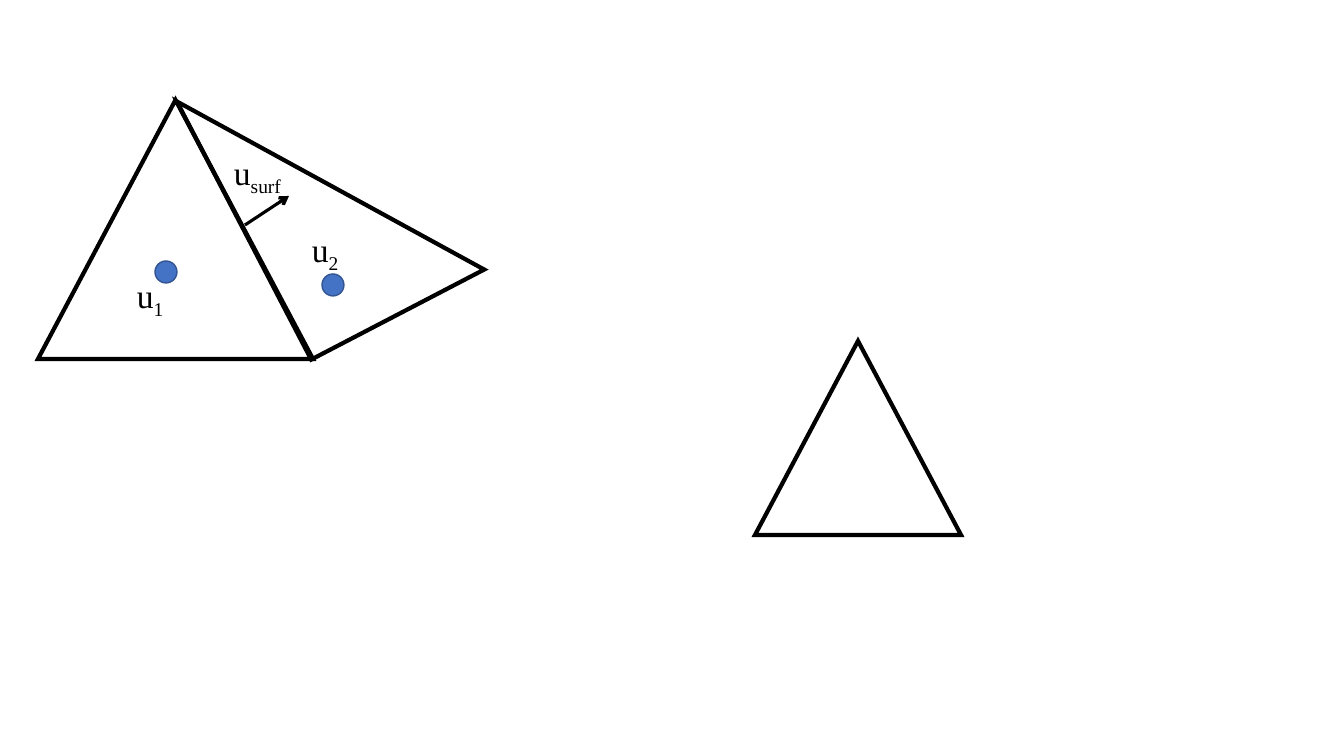
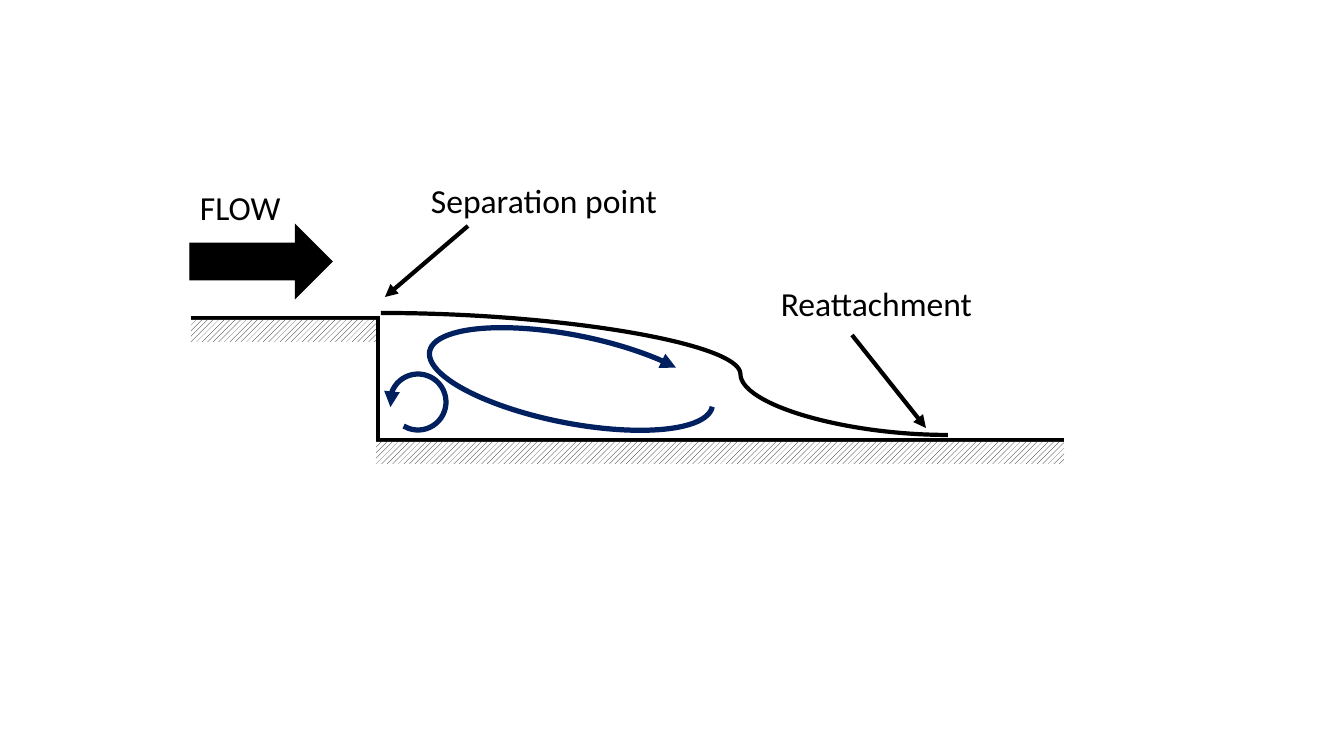
"""Build two slides: neighbouring mesh cells and flow over a backward-facing step."""
import pptx
import pptx.util
import pptx.dml.color
import pptx.enum.dml
import pptx.enum.shapes
import pptx.enum.text
import pptx.oxml
import pptx.oxml.ns

BLACK = pptx.dml.color.RGBColor(0x00, 0x00, 0x00)
WHITE = pptx.dml.color.RGBColor(0xFF, 0xFF, 0xFF)
BLUE = pptx.dml.color.RGBColor(0x44, 0x72, 0xC4)
BLUE_EDGE = pptx.dml.color.RGBColor(0x32, 0x54, 0x91)
NAVY = pptx.dml.color.RGBColor(0x00, 0x20, 0x60)

SHAPE = pptx.enum.shapes.MSO_SHAPE
CONNECTOR = pptx.enum.shapes.MSO_CONNECTOR
SCALE = 914400 / 100.8
SLIDE_SIZE = (1344, 756)
TEXT_SIZE = 24

LONE_CELL = (755, 341, 206, 194)
LEFT_CELL = (38, 100, 275, 259)
RIGHT_CELL = (185, 88, 291, 195)
CENTROIDS = [(322, 274, 22, 22), (155, 261, 22, 22)]
VELOCITIES = [
    ("u", "1", (127, 270, 48, 50)),
    ("u", "2", (302, 224, 48, 50)),
    ("u", "surf", (224, 147, 73, 50)),
]
SURFACE_NORMAL = ((245, 225), (289, 196))

WALLS = [((191, 318), (380, 318)), ((378, 317), (378, 441)), ((376, 440), (1064, 440))]
HATCHES = [(191, 320, 185, 22), (376, 442, 688, 22)]
VORTICES = [
    ((390, 374, 56, 56), 259.5, (162, 132.81), "head"),
    ((527, 235, 88, 288), 101.1, (162, 151.63), "tail"),
]
SHEAR_LAYER = ((381, 313), (948, 435))
SHEAR_BEND = 63400
FLOW_ARROW = (190, 225, 142, 73)
LABELS = [
    ("FLOW", (190, 182, 102, 50)),
    ("Separation point", (421, 175, 249, 50)),
    ("Reattachment", (771, 278, 214, 50)),
]
POINTERS = [((468, 226), (385, 297)), ((852, 335), (926, 428))]


def emu(*pixels):
    return [pptx.util.Emu(round(pixel * SCALE)) for pixel in pixels]


def add_xml(parent, tag, **attributes):
    child = pptx.oxml.parse_xml(f"<a:{tag} {pptx.oxml.ns.nsdecls('a')}/>")
    for name, value in attributes.items():
        child.set(name, value)
    parent.append(child)


def format_line(item, color, width, head=None, tail=None):
    item.line.color.rgb = color
    item.line.width = pptx.util.Pt(width)
    outline = item.element.spPr.find(pptx.oxml.ns.qn("a:ln"))
    add_xml(outline, "miter", lim="800000")
    for end, kind in (("headEnd", head), ("tailEnd", tail)):
        if kind:
            add_xml(outline, end, type=kind)


def add_shape(shapes, kind, place, fill=None, line=None, width=1, turn=0, adjust=(), **ends):
    shape = shapes.add_shape(kind, *emu(*place))
    shape.shadow.inherit = False
    shape.rotation = turn
    for index, value in enumerate(adjust):
        shape.adjustments[index] = value
    if fill is None:
        shape.fill.background()
    else:
        shape.fill.solid()
        shape.fill.fore_color.rgb = fill
    if line is None:
        shape.line.fill.background()
    else:
        format_line(shape, line, width, **ends)
    return shape


def add_line(shapes, start, end, width=3, kind=CONNECTOR.STRAIGHT, **ends):
    line = shapes.add_connector(kind, *emu(*start, *end))
    format_line(line, BLACK, width, **ends)
    add_xml(line.element.spPr, "effectLst")
    return line


def add_text(shapes, text, place, font="Calibri", subscript=""):
    box = shapes.add_textbox(*emu(*place))
    box.text_frame.word_wrap = False
    box.text_frame.auto_size = pptx.enum.text.MSO_AUTO_SIZE.SHAPE_TO_FIT_TEXT
    para = box.text_frame.paragraphs[0]
    for words, baseline in ((text, "0"), (subscript, "-25000")):
        if words:
            span = para.add_run()
            span.text = words
            span.font.name = font
            span.font.size = pptx.util.Pt(TEXT_SIZE)
            span.font.color.rgb = BLACK
            span._r.get_or_add_rPr().set("baseline", baseline)


def build_cells(page):
    cell = {"line": BLACK, "width": 3}
    add_shape(page.shapes, SHAPE.ISOSCELES_TRIANGLE, LONE_CELL, **cell)
    shapes = page.shapes.add_group_shape().shapes
    add_shape(shapes, SHAPE.ISOSCELES_TRIANGLE, LEFT_CELL, **cell)
    add_shape(shapes, SHAPE.ISOSCELES_TRIANGLE, RIGHT_CELL, turn=62.5, adjust=(1,), **cell)
    for place in CENTROIDS:
        add_shape(shapes, SHAPE.OVAL, place, fill=BLUE, line=BLUE_EDGE)
    for text, subscript, place in VELOCITIES:
        add_text(shapes, text, place, font="Times New Roman", subscript=subscript)
    add_line(shapes, *SURFACE_NORMAL, width=2.25, tail="arrow")


def build_step(page):
    shapes = page.shapes.add_group_shape().shapes
    for start, end in WALLS:
        add_line(shapes, start, end)
    for place in HATCHES:
        hatch = add_shape(shapes, SHAPE.RECTANGLE, place)
        hatch.fill.patterned()
        hatch.fill.pattern = pptx.enum.dml.MSO_PATTERN.WIDE_UPWARD_DIAGONAL
        hatch.fill.fore_color.rgb = BLACK
        hatch.fill.back_color.rgb = WHITE
    for place, turn, adjust, end in VORTICES:
        add_shape(shapes, SHAPE.ARC, place, line=NAVY, width=3.75, turn=turn,
                  adjust=adjust, **{end: "triangle"})
    shear = add_line(shapes, *SHEAR_LAYER, kind=CONNECTOR.CURVE)
    guides = shear.element.spPr.find(".//" + pptx.oxml.ns.qn("a:avLst"))
    add_xml(guides, "gd", name="adj1", fmla=f"val {SHEAR_BEND}")
    add_shape(shapes, SHAPE.RIGHT_ARROW, FLOW_ARROW, fill=BLACK, line=BLACK)
    for text, place in LABELS:
        add_text(shapes, text, place)
    for start, end in POINTERS:
        add_line(shapes, start, end, tail="triangle")


deck = pptx.Presentation()
deck.slide_width, deck.slide_height = emu(*SLIDE_SIZE)
for build in (build_cells, build_step):
    build(deck.slides.add_slide(deck.slide_layouts[6]))
deck.save("out.pptx")
